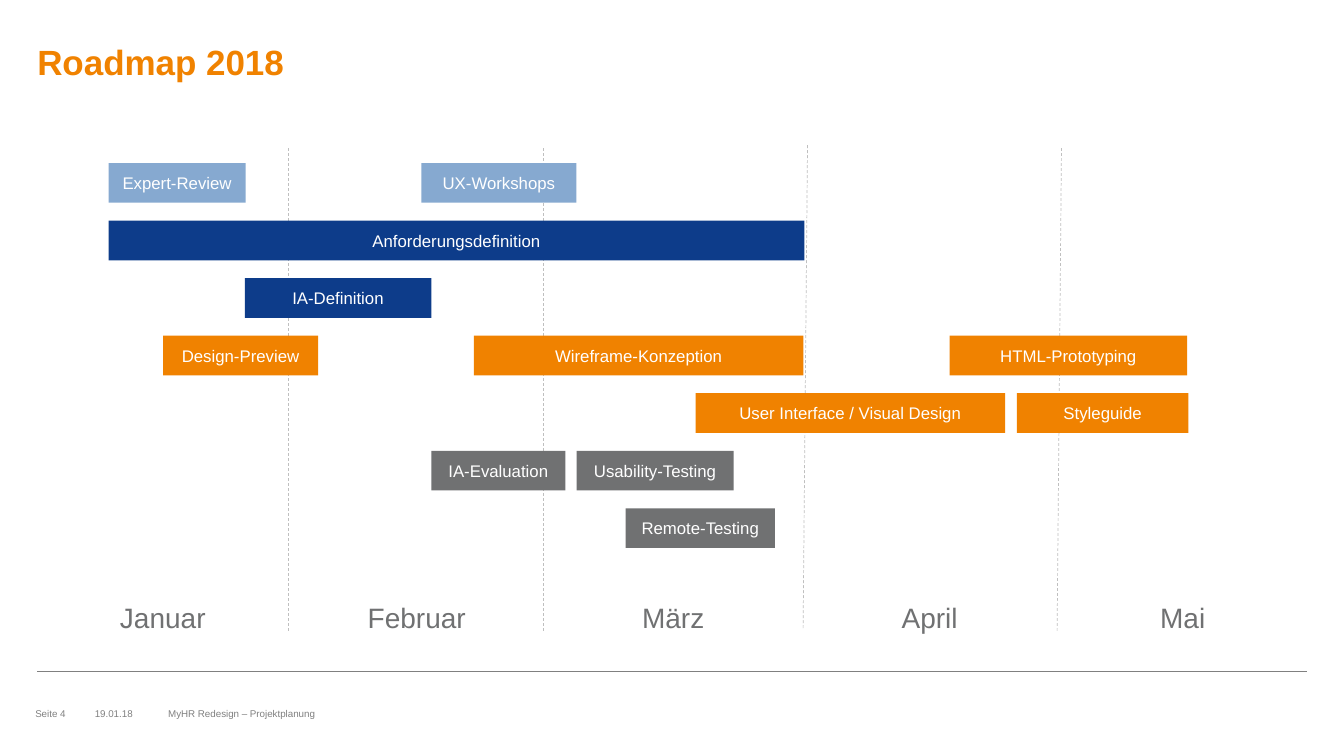
from pptx import Presentation
from pptx.dml.color import RGBColor
from pptx.enum.dml import MSO_LINE
from pptx.enum.shapes import MSO_CONNECTOR, MSO_SHAPE
from pptx.enum.text import MSO_ANCHOR, PP_ALIGN
from pptx.oxml.ns import qn
from pptx.util import Cm, Pt
from lxml import etree

LINE, RECT, DASH = MSO_CONNECTOR.STRAIGHT, MSO_SHAPE.RECTANGLE, MSO_LINE.DASH
TOP, MID = MSO_ANCHOR.TOP, MSO_ANCHOR.MIDDLE
LEFT, MITTE = PP_ALIGN.LEFT, PP_ALIGN.CENTER

# Content: lengths in cm
SKY, NAVY, ORANGE, GREY = "86A9D0", "0D3C8A", "F08200", "707172"
TITLE = "Roadmap 2018"
ROWS = [  # colour, then tasks as (name, left, width)
    (SKY, [("Expert-Review", 2.74, 3.45), ("UX-Workshops", 10.62, 3.91)]),
    (NAVY, [("Anforderungsdefinition", 2.74, 17.53)]),
    (NAVY, [("IA-Definition", 6.17, 4.7)]),
    (ORANGE, [("Design-Preview", 4.11, 3.91),
              ("Wireframe-Konzeption", 11.94, 8.31),
              ("HTML-Prototyping", 23.93, 5.99)]),
    (ORANGE, [("User Interface / Visual Design", 17.53, 7.8),
              ("Styleguide", 25.63, 4.32)]),
    (GREY, [("IA-Evaluation", 10.87, 3.38), ("Usability-Testing", 14.53, 3.96)]),
    (GREY, [("Remote-Testing", 15.77, 3.76)]),
]
MONTHS = ["Januar", "Februar", "März", "April", "Mai"]
EDGES = [0.94, 7.27, 13.74, 20.19, 26.67, 32.94]
MARKS = [  # x at top, x at foot, top
    (7.26, 7.26, 3.73), (13.69, 13.69, 3.73),
    (20.35, 20.24, 3.66), (26.75, 26.64, 3.73),
]
FOOT = [("Seite 4", 0.89, 1.4), ("19.01.18", 2.39, 1.52),
        ("MyHR Redesign – Projektplanung", 4.24, 20.57)]

ROW_TOP, PITCH, BAR_H = 4.11, 1.45, 1.0
MARK_H = 12.2

# Text formats
HEAD = {"size": Pt(25), "bold": True}
MONTH = {"size": Pt(20)}
TASK = {"size": Pt(12)}
SMALL = {"size": Pt(7)}

deck = Presentation()
deck.slide_width, deck.slide_height = Cm(33.87), Cm(19.05)
slide = deck.slides.add_slide(deck.slide_layouts[6])
shapes = slide.shapes


def color(code):
    return RGBColor.from_string(code)


def write(shape, text, form, code, align=LEFT, anchor=TOP, pad=(0, 0)):
    frame = shape.text_frame
    frame.word_wrap = True
    frame.vertical_anchor = anchor
    frame.margin_left = frame.margin_right = Cm(pad[0])
    frame.margin_top = frame.margin_bottom = Cm(pad[1])
    par = frame.paragraphs[0]
    par.alignment = align
    run = par.add_run()
    run.text = text
    run.font.name = "Arial"
    run.font.color.rgb = color(code)
    for key, value in form.items():
        setattr(run.font, key, value)


def label(box, *args, **extra):
    write(shapes.add_textbox(*map(Cm, box)), *args, **extra)


def rule(ends, code, dash=None):
    line = shapes.add_connector(LINE, *map(Cm, ends))
    line.line.color.rgb = color(code)
    line.line.width = Pt(0.5)
    if dash:
        line.line.dash_style = dash
    etree.SubElement(line._element.spPr, qn("a:effectLst"))


def bar(box, text, code):
    shape = shapes.add_shape(RECT, *map(Cm, box))
    shape.shadow.inherit = False
    shape.fill.solid()
    shape.fill.fore_color.rgb = color(code)
    shape.line.fill.background()
    write(shape, text, TASK, "FFFFFF", MITTE, MID, (0.25, 0.13))


# Title, base rule and month marks
label((0.94, 1.02, 32, 2.59), TITLE, HEAD, ORANGE)
rule((EDGES[0], 16.92, EDGES[-1], 16.92), "808080")
for head, foot, top in MARKS:
    rule((head, top, foot, top + MARK_H), "BFBFBF", DASH)

# Task bars
for i, (code, tasks) in enumerate(ROWS):
    for name, left, width in tasks:
        bar((left, ROW_TOP + i * PITCH, width, BAR_H), name, code)

# Month names
for name, left, right in zip(MONTHS, EDGES, EDGES[1:]):
    label((left, 15.01, right - left, 1.12), name, MONTH, GREY, MITTE,
          pad=(0.25, 0.13))

# Footer
for text, left, width in FOOT:
    label((left, 17.78, width, 0.41), text, SMALL, "808080", anchor=MID)

deck.save("out.pptx")
